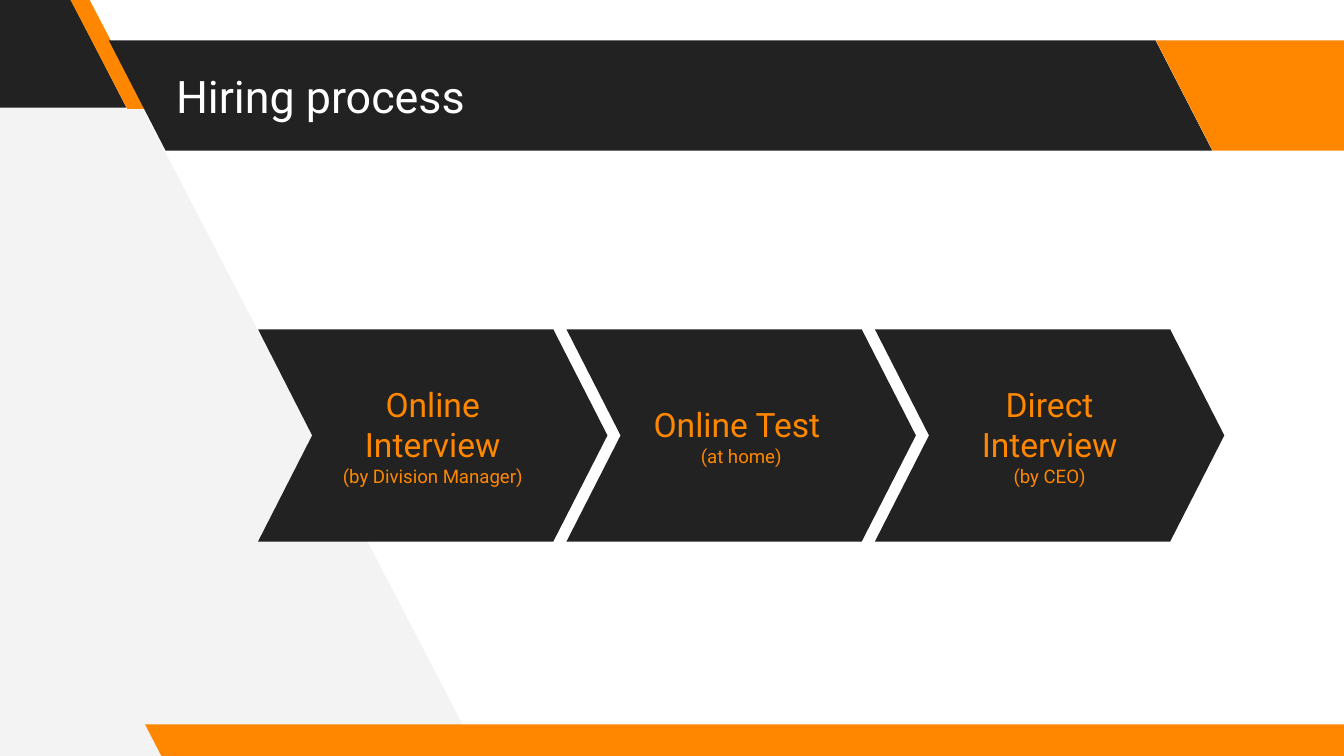
from pptx import Presentation
from pptx.dml.color import RGBColor
from pptx.enum import shapes, text
from pptx.util import Inches, Pt

FONT = "Roboto"
DARK, ORANGE, PALE, WHITE = "222222", "FF8700", "F3F3F3", "FFFFFF"
SLANT = 0.515

# left, top, width, height, slant, colour
BANDS = [
    (-0.98, -0.02, 1.92, 0.82, SLANT, DARK),
    (0.52, -0.01, 0.57, 0.82, 0.75, ORANGE),
    (0.81, 0.3, 8.21, 0.82, SLANT, DARK),
    (8.6, 0.3, 1.92, 0.82, SLANT, ORANGE),
    (1.08, 5.39, 9.15, 0.25, SLANT, ORANGE),
]
STEPS = [
    ("Online Interview", "(by Division Manager)"),
    ("Online Test ", "(at home)"),
    ("Direct Interview", "(by CEO)"),
]
FIRST_STEP, LAST_STEP = 1.92, 6.51


def color(value):
    return RGBColor.from_string(value)


def paint(shape, value):
    shape.shadow.inherit = False
    shape.fill.solid()
    shape.fill.fore_color.rgb = color(value)
    shape.line.fill.background()


def add_span(para, wording, size, value):
    span = para.add_run()
    span.text = wording
    span.font.name = FONT
    span.font.size = Pt(size)
    span.font.color.rgb = color(value)


def prepare_frame(frame):
    """Wrap and centre the text vertically, with equal insets."""
    frame.word_wrap = True
    frame.auto_size = text.MSO_AUTO_SIZE.NONE
    frame.vertical_anchor = text.MSO_ANCHOR.MIDDLE
    frame.margin_left = frame.margin_right = Inches(0.1)
    frame.margin_top = frame.margin_bottom = Inches(0.1)


def add_side_panel(page):
    points = [(3.56, 5.62), (0.62, -0.04), (-0.06, -0.04), (-0.02, 5.66)]
    corners = [(Inches(x), Inches(y)) for x, y in points]
    builder = page.shapes.build_freeform(*corners[0])
    builder.add_line_segments(corners[1:], close=True)
    paint(builder.convert_to_shape(), PALE)


def add_band(page, left, top, width, height, slant, value):
    """Add a parallelogram that leans to the left."""
    band = page.shapes.add_shape(
        shapes.MSO_SHAPE.PARALLELOGRAM,
        Inches(left), Inches(top), Inches(width), Inches(height))
    band.adjustments[0] = slant
    band.element.spPr.xfrm.set("flipH", "1")
    paint(band, value)


def set_title(page, wording):
    title = page.shapes.title
    title.left, title.top = Inches(1.21), Inches(0.3)
    title.width, title.height = Inches(7.35), Inches(0.82)
    prepare_frame(title.text_frame)
    para = title.text_frame.paragraphs[0]
    para.alignment = text.PP_ALIGN.LEFT
    add_span(para, wording, 24, WHITE)
    # Bring the title in front of the bands
    title.element.getparent().append(title.element)


def add_step(page, left, name, detail):
    step = page.shapes.add_shape(
        shapes.MSO_SHAPE.CHEVRON,
        Inches(left), Inches(2.45), Inches(2.6), Inches(1.58))
    step.adjustments[0] = 0.255
    paint(step, DARK)
    frame = step.text_frame
    prepare_frame(frame)
    for para, wording, size in ((frame.paragraphs[0], name, 18),
                                (frame.add_paragraph(), detail, 10)):
        para.alignment = text.PP_ALIGN.CENTER
        add_span(para, wording, size, ORANGE)


def main():
    deck = Presentation()
    deck.slide_width = Inches(10)
    deck.slide_height = deck.slide_width * 9 // 16
    page = deck.slides.add_slide(deck.slide_layouts.get_by_name("Title Only"))
    page.background.fill.solid()
    page.background.fill.fore_color.rgb = color(WHITE)
    add_side_panel(page)
    for band in BANDS:
        add_band(page, *band)
    set_title(page, "Hiring process")
    pitch = (LAST_STEP - FIRST_STEP) / (len(STEPS) - 1)
    for index, (name, detail) in enumerate(STEPS):
        add_step(page, FIRST_STEP + index * pitch, name, detail)
    deck.save("out.pptx")


if __name__ == "__main__":
    main()
